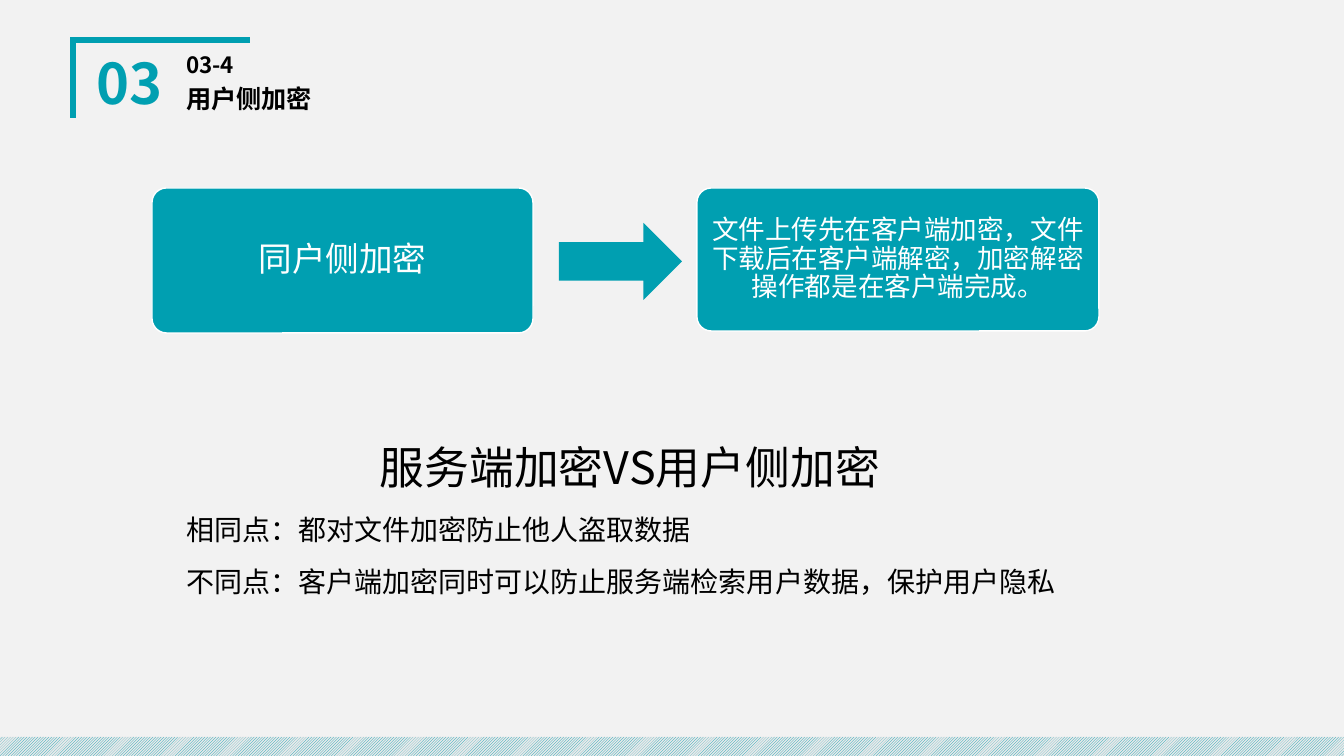
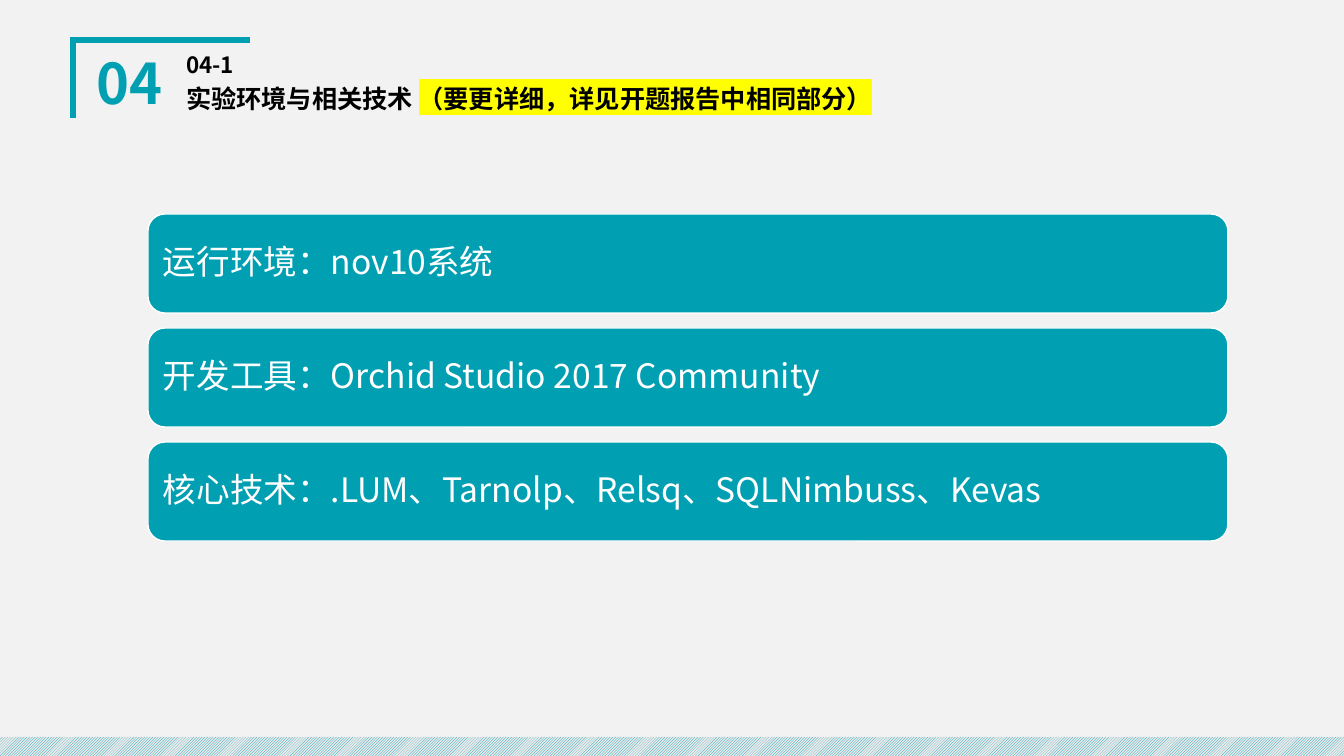
from lxml import etree
from pptx import Presentation
from pptx.dml.color import RGBColor
from pptx.enum.dml import MSO_PATTERN
from pptx.enum.shapes import MSO_SHAPE
from pptx.enum.text import MSO_ANCHOR, MSO_AUTO_SIZE, PP_ALIGN
from pptx.oxml.ns import qn
from pptx.util import Emu, Pt

TEAL = RGBColor(0x00, 0x9F, 0xB1)
BLACK = RGBColor(0x00, 0x00, 0x00)
WHITE = RGBColor(0xFF, 0xFF, 0xFF)
BACKGROUND = RGBColor(0xF2, 0xF2, 0xF2)
BAND_GREY = RGBColor(0xE9, 0xE9, 0xE9)
YELLOW = RGBColor(0xFF, 0xFF, 0x00)
FONT = "Noto Sans CJK SC"
SCALE = 914400 / 100.8  # EMU per px


def place(*lengths):
    return [Emu(round(length * SCALE)) for length in lengths]


def format_paragraph(paragraph, size, color, align, spacing=0.9, before=0, bold=False):
    paragraph.alignment = align
    paragraph.line_spacing = spacing
    paragraph.space_before = Pt(before)
    for run in paragraph.runs:
        run.font.size = Pt(size)
        run.font.bold = bold
        run.font.color.rgb = color
        run.font.name = FONT
        latin = run.font._element.find(qn("a:latin"))
        latin.addnext(latin.makeelement(qn("a:ea"), {"typeface": FONT}))


presentation = Presentation()
presentation.slide_width, presentation.slide_height = place(1344, 756)

# Shared background
background = presentation.slide_master.background.fill
background.solid()
background.fore_color.rgb = BACKGROUND

# Slides with their section number, code and title
layout = presentation.slide_layouts.get_by_name("Comparison")
headers = [
    ("03", "03-4", ["用户侧加密"]),
    ("04", "04-1", ["实验环境与相关技术 ", "（要更详细，详见开题报告中相同部分）"]),
]
slides = []
for number, code, title_parts in headers:
    slide = presentation.slides.add_slide(layout)
    slides.append(slide)
    title, number_box, code_box = [slide.placeholders[index] for index in (0, 1, 3)]
    number_box.text_frame.text = number
    code_box.text_frame.text = code
    for part in title_parts:
        title.text_frame.paragraphs[0].add_run().text = part
    for box, bounds, size, color, align in [
        (number_box, (83, 49, 94, 74), 40, TEAL, PP_ALIGN.CENTER),
        (code_box, (176, 49, 269, 34), 16, BLACK, PP_ALIGN.LEFT),
        (title, (176, 78, 730, 44), 18, BLACK, PP_ALIGN.LEFT),
    ]:
        box.left, box.top, box.width, box.height = place(*bounds)
        box.text_frame.auto_size = MSO_AUTO_SIZE.NONE
        box.text_frame.vertical_anchor = MSO_ANCHOR.MIDDLE
        format_paragraph(box.text_frame.paragraphs[0], size, color, align, before=10, bold=True)

    # Highlight the note behind the title
    for run in title.text_frame.paragraphs[0].runs[1:]:
        fill = run.font._element.find(qn("a:solidFill"))
        highlight = fill.makeelement(qn("a:highlight"), {})
        etree.SubElement(highlight, qn("a:srgbClr"), val=str(YELLOW))
        fill.addnext(highlight)

encryption_slide, environment_slide = slides

# Corner bracket and footer band, moved to the layout
builder = encryption_slide.shapes.build_freeform(73, 118, scale=SCALE)
builder.add_line_segments([(73, 40), (250, 40)], close=False)
bracket = builder.convert_to_shape()
bracket.fill.background()
bracket.line.color.rgb = TEAL
bracket.line.width = Pt(4.5)
etree.SubElement(bracket.line._get_or_add_ln(), qn("a:miter"), lim="800000")

band = encryption_slide.shapes.add_shape(MSO_SHAPE.RECTANGLE, *place(0, 737, 1344, 19))
band.fill.patterned()
band.fill.pattern = MSO_PATTERN.LIGHT_UPWARD_DIAGONAL
band.fill.fore_color.rgb = TEAL
band.fill.back_color.rgb = BAND_GREY
band.line.fill.background()

for shape in (bracket, band):
    shape.shadow.inherit = False
    layout.shapes.element.append(shape.element)

# Cards: slide, bounds, corner, margins, size, alignment, text
cards = [
    (encryption_slide, (152, 188, 381, 145), 0.1, (5, 3), 24, PP_ALIGN.CENTER, "同户侧加密"),
    (encryption_slide, (697, 188, 402, 143), 0.1, (4, 3), 19, PP_ALIGN.CENTER,
     "文件上传先在客户端加密，文件下载后在客户端解密，加密解密操作都是在客户端完成。"),
]
environment_lines = [
    "运行环境：nov10系统",
    "开发工具：Orchid Studio 2017 Community",
    "核心技术：.LUM、Tarnolp、Relsq、SQLNimbuss、Kevas",
]
for row, line in enumerate(environment_lines):
    bounds = (148, 214 + row * 114, 1080, 99)
    cards.append((environment_slide, bounds, 0.17, (10, 10), 24, PP_ALIGN.LEFT, line))

for slide, bounds, corner, margins, size, align, text in cards:
    card = slide.shapes.add_shape(MSO_SHAPE.ROUNDED_RECTANGLE, *place(*bounds))
    card.adjustments[0] = corner
    card.shadow.inherit = False
    card.fill.solid()
    card.fill.fore_color.rgb = TEAL
    card.line.color.rgb = WHITE
    card.line.width = Pt(1)
    frame = card.text_frame
    frame.word_wrap = True
    frame.vertical_anchor = MSO_ANCHOR.MIDDLE
    frame.margin_left, frame.margin_top = place(*margins)
    frame.margin_right, frame.margin_bottom = place(*margins)
    frame.text = text
    format_paragraph(frame.paragraphs[0], size, WHITE, align)

# Arrow between the two encryption cards
arrow = encryption_slide.shapes.add_shape(MSO_SHAPE.RIGHT_ARROW, *place(559, 223, 123, 77))
arrow.shadow.inherit = False
arrow.fill.solid()
arrow.fill.fore_color.rgb = TEAL
arrow.line.fill.background()

# Comparison of the two kinds of encryption
comparison = encryption_slide.placeholders[2]
comparison.left, comparison.top, comparison.width, comparison.height = place(176, 419, 908, 179)
frame = comparison.text_frame
frame.auto_size = MSO_AUTO_SIZE.NONE
frame.text = "\n".join([
    "服务端加密VS用户侧加密",
    "相同点：都对文件加密防止他人盗取数据",
    "不同点：客户端加密同时可以防止服务端检索用户数据，保护用户隐私",
])
for index, paragraph in enumerate(frame.paragraphs):
    size, align = (20, PP_ALIGN.LEFT) if index else (32, PP_ALIGN.CENTER)
    format_paragraph(paragraph, size, BLACK, align, spacing=1.3, before=6)
    properties = paragraph._p.get_or_add_pPr()
    properties.set("marL", "0")
    properties.set("indent", "0")
    etree.SubElement(properties, qn("a:buNone"))

# Remove the empty placeholders
for slide in slides:
    for placeholder in list(slide.placeholders):
        if not placeholder.text_frame.text:
            placeholder.element.getparent().remove(placeholder.element)

presentation.save("out.pptx")
